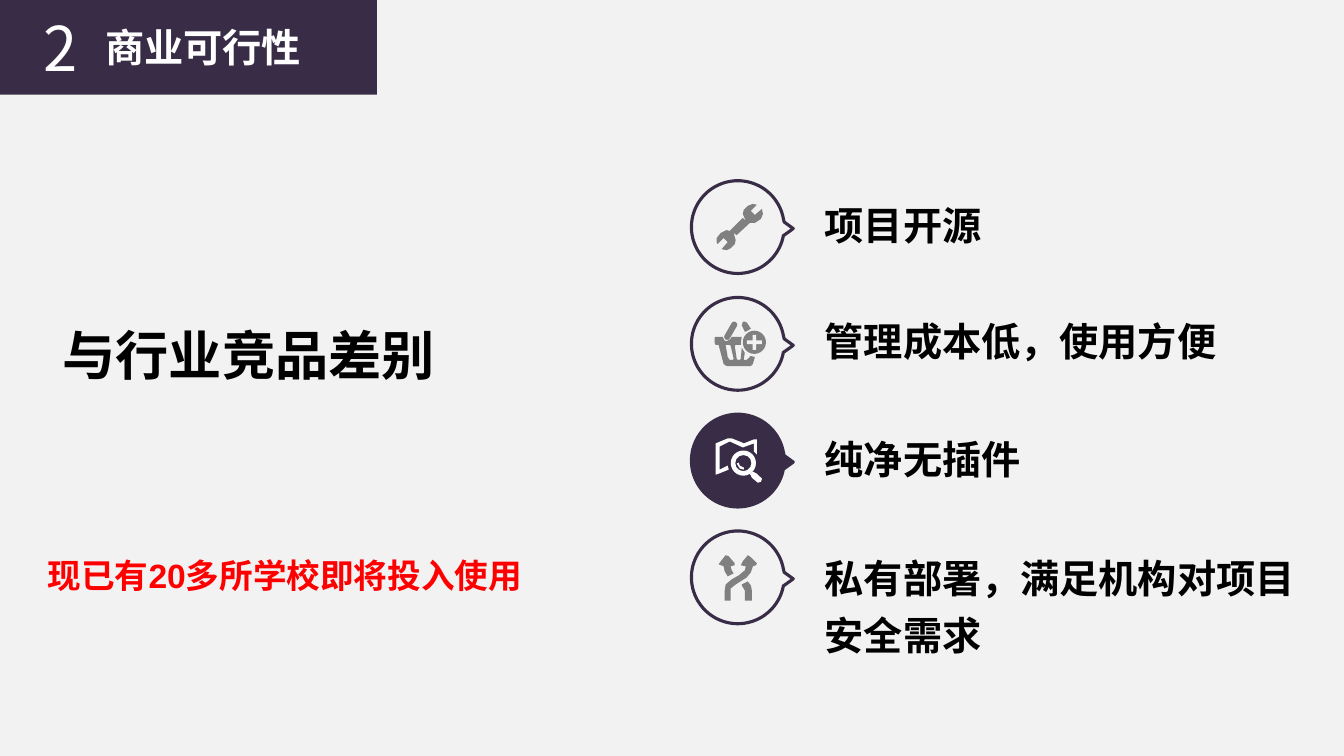
import math

from lxml import etree
from pptx import Presentation
from pptx import util as u
from pptx.dml.color import RGBColor
from pptx.enum import shapes, text
from pptx.oxml import ns

COLORS = {"background": "F2F2F2", "purple": "392C47", "gray": "808080",
          "white": "FFFFFF", "black": "000000", "red": "FF0000"}
UNIT = 0.72
CENTER_X = 527
FIRST_Y, STEP_Y = 162.2, 83.4

presentation = Presentation()
presentation.slide_width, presentation.slide_height = u.Pt(960), u.Pt(540)
slide = presentation.slides.add_slide(presentation.slide_layouts[6])
slide.background.fill.solid()
slide.background.fill.fore_color.rgb = RGBColor.from_string(COLORS["background"])


def add_figure(kind, center_y, geometry, fill, line=None, rotation=0):
    if kind == "outline":
        contours = [[(u.Pt(CENTER_X + x * UNIT), u.Pt(center_y + y * UNIT))
                     for x, y in contour] for contour in geometry]
        builder = slide.shapes.build_freeform(*contours[0][0], scale=1.0)
        builder.add_line_segments(contours[0][1:], close=True)
        for contour in contours[1:]:
            builder.move_to(*contour[0])
            builder.add_line_segments(contour[1:], close=True)
        shape = builder.convert_to_shape()
    else:
        x, y, width, height = [value * UNIT for value in geometry]
        shape = slide.shapes.add_shape(
            kind, u.Pt(CENTER_X + x - width / 2), u.Pt(center_y + y - height / 2),
            u.Pt(width), u.Pt(height))
    shape.shadow.inherit = False
    shape.rotation = rotation
    if fill:
        shape.fill.solid()
        shape.fill.fore_color.rgb = RGBColor.from_string(COLORS[fill])
    else:
        shape.fill.background()
    if line:
        shape.line.color.rgb = RGBColor.from_string(COLORS[line])
        shape.line.width = u.Pt(2.25)
    else:
        shape.line.fill.background()
    return shape


def add_label(words, box, size, color, font="Arial", bold=True, spacing=None,
              centered=False, wrap=True, inset=(9.6, 4.8)):
    label = slide.shapes.add_textbox(*[u.Pt(value) for value in box])
    frame = label.text_frame
    frame.text = words
    frame.word_wrap = wrap
    frame.auto_size = text.MSO_AUTO_SIZE.SHAPE_TO_FIT_TEXT
    frame.margin_left = frame.margin_right = u.Pt(inset[0])
    frame.margin_top = frame.margin_bottom = u.Pt(inset[1])
    paragraph = frame.paragraphs[0]
    paragraph.alignment = text.PP_ALIGN.CENTER if centered else text.PP_ALIGN.LEFT
    if spacing:
        paragraph.line_spacing = spacing
    run = paragraph.runs[0]
    run.font.size, run.font.bold, run.font.name = u.Pt(size), bold, font
    run.font.color.rgb = RGBColor.from_string(COLORS[color])
    east_asian = etree.SubElement(run.font._element, ns.qn("a:ea"))
    east_asian.set("typeface", "Noto Sans CJK SC")


wrench = [(15, -23), (10, -21), (6, -17), (5, -13), (8, -6), (5, -9), (-8, 4), (-11, 3),
          (-17, 6), (-21, 11), (-21, 15), (-20, 17), (-14, 11), (-10, 15), (-16, 22),
          (-11, 23), (-7, 21), (-3, 17), (-2, 13), (-4, 6), (-1, 8), (12, -4), (17, -4),
          (23, -8), (25, -13), (24, -18), (17, -12), (13, -16), (19, -22)]
basket = [(-22, -7), (-15, -7), (-13, -3), (-10, -3), (-7, -5), (-6, -7), (4, -7), (3, -1),
          (3, 1), (-2, 1), (-3, 2), (-1, 15), (0, 16), (2, 16), (3, 15), (4, 4), (7, 9),
          (6, 15), (6, 16), (9, 16), (12, 13), (12, 12), (17, 13), (15, 20), (13, 22),
          (-11, 22), (-14, 20), (-19, 1), (-22, 1), (-23, -1), (-23, -6)]
basket_slot = [(-12, 1), (-10, 13), (-8, 16), (-5, 16), (-4, 15), (-7, 2), (-8, 1)]
basket_handle = [(7, -22), (9, -21), (13, -15), (8, -12), (7, -12), (4, -18), (5, -22)]
map_sheet = [(-10, -22), (-6, -22), (4, -18), (6, -17), (16, -21), (19, -21), (19, -6),
             (16, -9), (16, -17), (5, -13), (-8, -19), (-18, -14), (-18, 9), (-10, 5),
             (-9, 9), (-19, 13), (-22, 14), (-22, -17)]
lens_handle = [(15, 11), (19, 13), (24, 18), (23, 21), (20, 22), (14, 17), (12, 13)]
lens_glint = [(-1, 3), (1, 2), (2, 5), (6, 7), (6, 9), (2, 8)]
left_arrow = [(-12, -22), (-9, -21), (-3, -14), (-3, -12), (-7, -11), (-6, -7), (-4, -4),
              (-10, -1), (-13, -6), (-14, -11), (-19, -13), (-16, -17)]
right_arrow = [(10, -22), (13, -20), (19, -14), (18, -12), (15, -11), (13, -5), (9, 0),
               (-2, 7), (-7, 11), (-7, 23), (-13, 23), (-13, 13), (-12, 7), (-6, 2),
               (1, -2), (7, -7), (8, -11), (3, -12), (5, -16)]
lower_branch = [(4, 7), (10, 4), (13, 8), (14, 13), (14, 23), (7, 23), (7, 13), (4, 8)]

outline = "outline"
preset = shapes.MSO_SHAPE
icons = [
    [(outline, [wrench], "gray")],
    [(outline, [basket, basket_slot], "gray"),
     (preset.ROUNDED_RECTANGLE, (-7, -13, 20, 6), "gray", 300),
     (outline, [basket_handle], "gray"),
     (preset.OVAL, (16.5, -1.5, 23, 23), "gray"),
     (preset.CROSS, (16.5, -1.5, 15, 15), "background")],
    [(outline, [map_sheet], "white"),
     (preset.DONUT, (5.5, 2.5, 25, 25), "white"),
     (outline, [lens_handle], "white"),
     (outline, [lens_glint], "white")],
    [(outline, [left_arrow], "gray"),
     (outline, [right_arrow], "gray"),
     (outline, [lower_branch], "gray")],
]
adjustments = {preset.ROUNDED_RECTANGLE: 0.5, preset.CROSS: 0.38, preset.DONUT: 0.18}
features = [("项目开源", 132.5, 283, 50.4), ("管理成本低，使用方便", 215.5, 345.6, 50.4),
            ("纯净无插件", 299.5, 283, 47.5), ("私有部署，满足机构对项目安全需求", 384.5, 380, 91.4)]

bubble = [(46 * math.cos(math.radians(angle)), 46 * math.sin(math.radians(angle)))
          for angle in range(10, 351, 4)]
bubble += [(46, -5), (55, 1.5), (46, 8)]

for index, (words, top, width, height) in enumerate(features):
    center_y = FIRST_Y + index * STEP_Y
    add_figure(outline, center_y, [bubble], "purple" if index == 2 else None, "purple")
    for kind, geometry, fill, *rotation in icons[index]:
        part = add_figure(kind, center_y, geometry, fill, None, *rotation)
        if kind in adjustments:
            part.adjustments[0] = adjustments[kind]
    add_label(words, (579.6, top, width, height), 28, "black", spacing=1.2)

add_label("现已有20多所学校即将投入使用", (24.5, 386, 397.4, 42.5), 24, "red", spacing=1.2)
add_label("与行业竞品差别", (7.2, 225.4, 341.3, 55.4), 38, "black",
          font="Noto Sans CJK SC", centered=True)

banner = slide.shapes.add_shape(preset.RECTANGLE, 0, 0, u.Pt(269.3), u.Pt(67.7))
banner.shadow.inherit = False
banner.fill.solid()
banner.fill.fore_color.rgb = RGBColor.from_string(COLORS["purple"])
banner.line.fill.background()
add_label("商业可行性", (67, 13, 156.2, 41), 28, "white", font="Noto Sans CJK SC",
          centered=True, wrap=False, inset=(7.2, 3.6))
add_label("2", (23.8, 3.6, 38.2, 60.5), 44, "white", font="Noto Sans CJK SC",
          bold=False, wrap=False, inset=(7.2, 3.6))

presentation.save("out.pptx")
